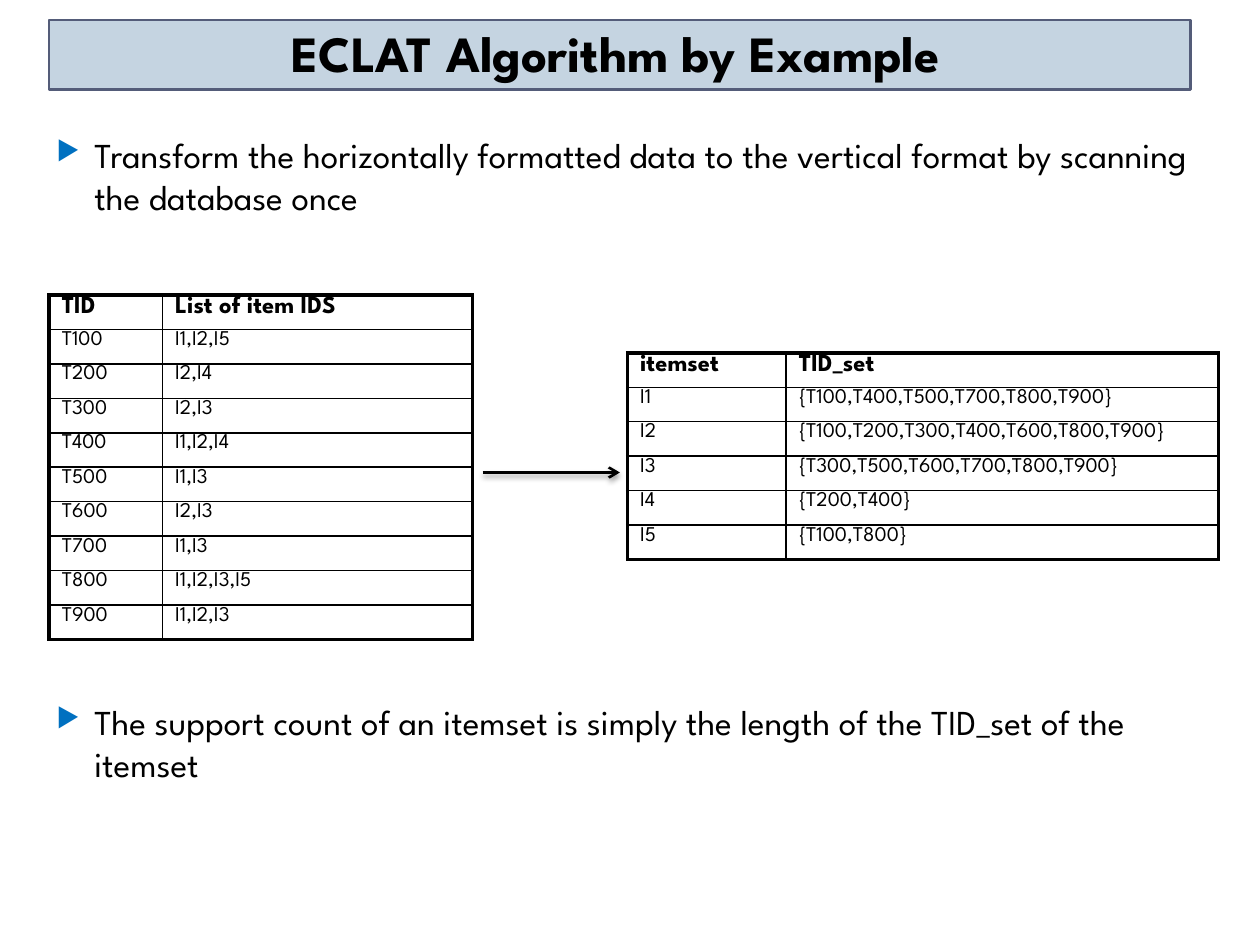
from lxml.etree import SubElement
from pptx import Presentation
from pptx.dml.color import RGBColor
from pptx.enum.shapes import MSO_CONNECTOR
from pptx.enum.text import MSO_ANCHOR, PP_ALIGN
from pptx.oxml import parse_xml
from pptx.oxml.ns import nsdecls, qn
from pptx.util import Inches, Pt

FONT = "League Spartan"
BLACK = "000000"
THICK, THIN = 2.25, 1
ROW_HEIGHT = Inches(2.74) // 10

TRANSACTIONS = [
    ("TID", "List of item IDS"),
    ("T100", "I1,I2,I5"),
    ("T200", "I2,I4"),
    ("T300", "I2,I3"),
    ("T400", "I1,I2,I4"),
    ("T500", "I1,I3"),
    ("T600", "I2,I3"),
    ("T700", "I1,I3"),
    ("T800", "I1,I2,I3,I5"),
    ("T900", "I1,I2,I3"),
]
TID_SETS = [
    ("itemset", "TID_set"),
    ("I1", "{T100,T400,T500,T700,T800,T900}"),
    ("I2", "{T100,T200,T300,T400,T600,T800,T900}"),
    ("I3", "{T300,T500,T600,T700,T800,T900}"),
    ("I4", "{T200,T400}"),
    ("I5", "{T100,T800}"),
]


def rgb(color):
    return RGBColor.from_string(color)


def format_font(p, size, bold=False):
    for r in p.runs:
        r.font.name = FONT
        r.font.size = Pt(size)
        r.font.bold = bold
        r.font.color.rgb = rgb(BLACK)


def set_title(s, text):
    title = s.shapes.title
    title.left, title.top = Inches(0.39), Inches(0.16)
    title.width, title.height = Inches(9.06), Inches(0.55)
    title.fill.solid()
    title.fill.fore_color.rgb = rgb("C5D4E1")
    title.line.color.rgb = rgb("545C79")
    title.line.width = Pt(1.5)
    tf = title.text_frame
    tf.text = text
    tf.vertical_anchor = MSO_ANCHOR.BOTTOM
    tf.margin_right = Inches(0.16)
    p = tf.paragraphs[0]
    p.alignment = PP_ALIGN.CENTER
    format_font(p, 29, bold=True)


def add_bullet(s, top, text):
    box = s.shapes.add_textbox(Inches(0.35), Inches(top), Inches(9.34), Inches(0.8))
    tf = box.text_frame
    tf.word_wrap = True
    tf.text = text
    p = tf.paragraphs[0]
    pPr = p._p.get_or_add_pPr()
    pPr.set("marL", str(Inches(0.3)))
    pPr.set("indent", str(Inches(-0.3)))
    SubElement(SubElement(pPr, qn("a:buClr")), qn("a:srgbClr"), val="0070C0")
    SubElement(pPr, qn("a:buSzPct"), val="76000")
    SubElement(pPr, qn("a:buChar"), char="▶")
    format_font(p, 20)


def set_borders(cell, left, right, top, bottom):
    """Draw the four cell borders with the given widths in points."""
    tcPr = cell._tc.get_or_add_tcPr()
    for side, width in zip("LRTB", (left, right, top, bottom)):
        ln = SubElement(tcPr, qn(f"a:ln{side}"), w=str(Pt(width)))
        SubElement(SubElement(ln, qn("a:solidFill")), qn("a:srgbClr"), val=BLACK)


def add_grid(s, left, top, widths, rows):
    """Add a table with a thick frame, thin inner lines and a bold first row."""
    frame = s.shapes.add_table(len(rows), len(widths), Inches(left), Inches(top),
                               Inches(sum(widths)), ROW_HEIGHT * len(rows))
    table = frame.table
    table.first_row = table.horz_banding = False
    for column, width in zip(table.columns, widths):
        column.width = Inches(width)
    last_row, last_col = len(rows) - 1, len(widths) - 1
    for i, row in enumerate(rows):
        table.rows[i].height = ROW_HEIGHT
        for j, text in enumerate(row):
            cell = table.cell(i, j)
            cell.text = text
            cell.margin_top = cell.margin_bottom = Inches(0.01)
            format_font(cell.text_frame.paragraphs[0], 12 if i else 14, bold=i == 0)
            edges = (j == 0, j == last_col, i == 0, i == last_row)
            set_borders(cell, *(THICK if edge else THIN for edge in edges))
            cell.fill.background()


def add_arrow(s, x1, x2, y):
    arrow = s.shapes.add_connector(MSO_CONNECTOR.STRAIGHT, Inches(x1), Inches(y),
                                   Inches(x2), Inches(y))
    arrow.line.color.rgb = rgb(BLACK)
    arrow.line.width = Pt(1.5)
    SubElement(arrow.line._get_or_add_ln(), qn("a:tailEnd"), type="arrow")
    arrow._element.spPr.append(parse_xml(
        f'<a:effectLst {nsdecls("a")}>'
        f'<a:outerShdw blurRad="{Pt(3)}" dist="{Pt(2)}" dir="5400000" rotWithShape="0">'
        f'<a:srgbClr val="{BLACK}"><a:alpha val="40000"/></a:srgbClr>'
        '</a:outerShdw></a:effectLst>'))


def main():
    prs = Presentation()
    prs.slide_width, prs.slide_height = Inches(10), Inches(7.5)
    s = prs.slides.add_slide(prs.slide_layouts[5])
    set_title(s, "ECLAT Algorithm by Example")
    add_bullet(s, 1.01, "Transform the horizontally formatted data to the vertical "
                        "format by scanning the database once")
    add_bullet(s, 5.51, "The support count of an itemset is simply the length of "
                        "the TID_set of the itemset")
    add_grid(s, 0.39, 2.34, (0.9, 2.46), TRANSACTIONS)
    add_arrow(s, 3.83, 4.92, 3.75)
    add_grid(s, 4.98, 2.8, (1.26, 3.43), TID_SETS)
    prs.save("out.pptx")


if __name__ == "__main__":
    main()
